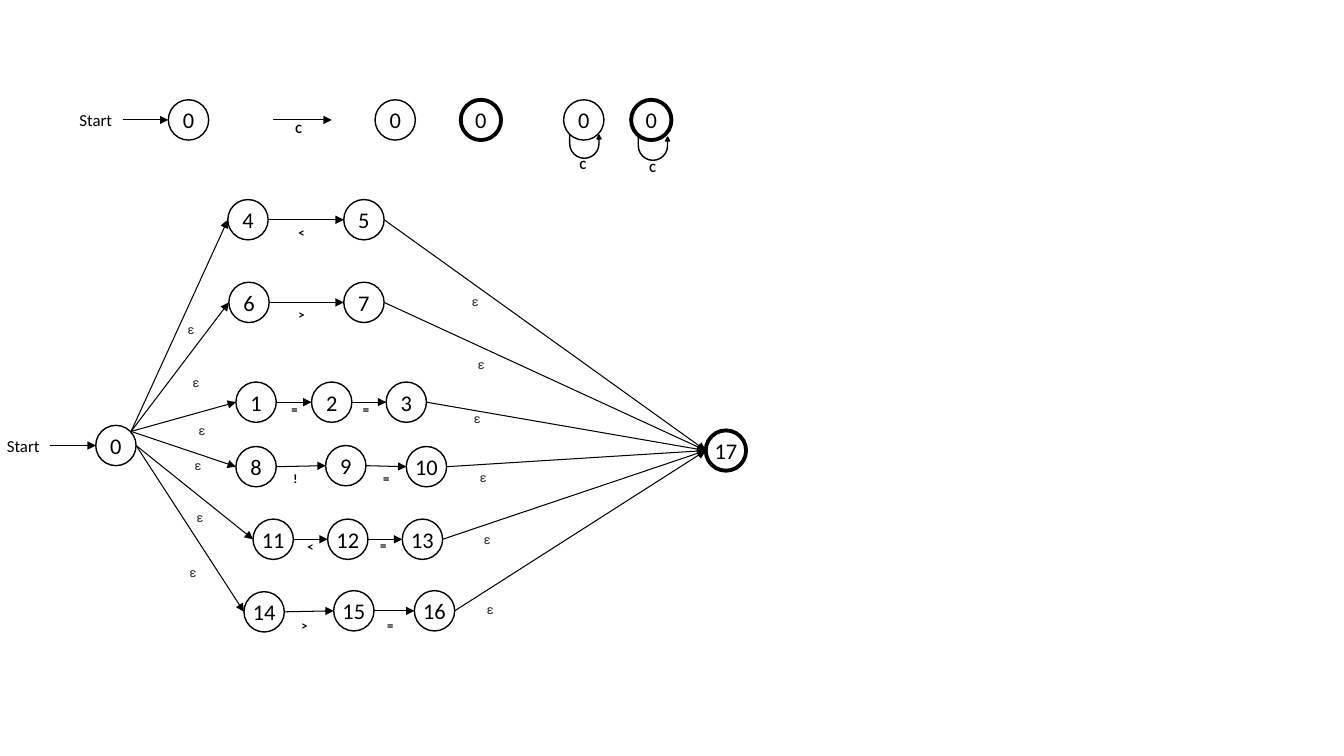
from dataclasses import dataclass

from lxml import etree
from pptx import Presentation
from pptx.dml.color import RGBColor
from pptx.enum import shapes, text
from pptx.oxml import ns
from pptx.util import Inches, Pt

BLACK = RGBColor(0x00, 0x00, 0x00)
EPSILON_GRAY = RGBColor(0x20, 0x21, 0x24)
DIAMETER = 0.4
RADIUS = DIAMETER / 2
LOOP_ADJUSTMENTS = (0, 0.085, 0.164, 0.717, 1)

Point = tuple[float, float]


@dataclass(frozen=True)
class State:
    name: str
    left: float
    top: float
    accepting: bool = False

    @property
    def entry(self) -> Point:
        return self.left, self.top + RADIUS

    @property
    def exit(self) -> Point:
        return self.left + DIAMETER, self.top + RADIUS


@dataclass(frozen=True)
class Symbol:
    character: str
    left: float
    top: float


@dataclass(frozen=True)
class Branch:
    """One operator: its states, the symbols between them, both epsilons."""
    origin: Point
    states: tuple[State, ...]
    symbols: tuple[Symbol, ...]
    epsilons: tuple[Point, Point]


START = State("0", 0.95, 4.22)
FINAL = State("17", 7, 4.27, accepting=True)
UPPER: Point = (1.3, 4.28)
LOWER: Point = START.exit

BRANCHES = (
    Branch(UPPER, (State("4", 2.26, 1.98), State("5", 3.41, 1.98)),
           (Symbol("<", 2.89, 2.18),), ((1.79, 3.14), (4.61, 2.87))),
    Branch(UPPER, (State("6", 2.27, 2.8), State("7", 3.41, 2.8)),
           (Symbol(">", 2.89, 3),), ((1.84, 3.67), (4.67, 3.49))),
    Branch(UPPER, (State("1", 2.34, 3.79), State("2", 3.09, 3.79), State("3", 3.83, 3.79)),
           (Symbol("=", 2.82, 3.94), Symbol("=", 3.53, 3.94)), ((1.9, 4.15), (4.63, 4.03))),
    Branch(UPPER, (State("8", 2.34, 4.43), State("9", 3.23, 4.42), State("10", 4.03, 4.43)),
           (Symbol("!", 2.84, 4.62), Symbol("=", 3.73, 4.62)), ((1.86, 4.49), (4.69, 4.61))),
    Branch(LOWER, (State("11", 2.51, 5.15), State("12", 3.25, 5.15), State("13", 3.99, 5.15)),
           (Symbol("<", 2.98, 5.3), Symbol("=", 3.7, 5.29)), ((1.88, 5.01), (4.73, 5.23))),
    Branch(LOWER, (State("14", 2.42, 5.87), State("15", 3.31, 5.86), State("16", 4.11, 5.86)),
           (Symbol(">", 2.92, 6.08), Symbol("=", 3.77, 6.08)), ((1.81, 5.55), (4.76, 5.92))),
)

# Legend of the notation
LEGEND_START = State("0", 1.67, 0.99)
LEGEND_STATES = (State("0", 3.72, 0.99), State("0", 4.57, 0.99, accepting=True))
LEGEND_LOOPS = (
    (State("0", 5.59, 0.99), (5.65, 1.34), Symbol("C", 5.68, 1.51)),
    (State("0", 6.26, 0.99, accepting=True), (6.33, 1.36), Symbol("C", 6.37, 1.54)),
)


def add_run(paragraph, content: str, size: float, font_name: str = "Calibri",
            color: RGBColor = BLACK, bold: bool = False) -> None:
    run = paragraph.add_run()
    run.text = content
    run.font.size = Pt(size)
    run.font.name = font_name
    run.font.color.rgb = color
    run.font.bold = bold


def add_label(slide, left: float, top: float, width: float, height: float, inset: float):
    """Add a text box and return its empty paragraph."""
    box = slide.shapes.add_textbox(Inches(left), Inches(top), Inches(width), Inches(height))
    frame = box.text_frame
    frame.word_wrap = True
    frame.auto_size = text.MSO_AUTO_SIZE.SHAPE_TO_FIT_TEXT
    frame.margin_left = Inches(inset)
    frame.margin_right = 0
    return frame.paragraphs[0]


def add_symbol(slide, symbol: Symbol) -> None:
    paragraph = add_label(slide, symbol.left, symbol.top, 0.16, 0.25, 0.07)
    add_run(paragraph, symbol.character, 9, bold=True)


def add_epsilon(slide, position: Point) -> None:
    paragraph = add_label(slide, *position, 0.16, 0.25, 0.07)
    add_run(paragraph, "ε", 9, "Roboto", EPSILON_GRAY)


def add_state(slide, state: State) -> None:
    shape = slide.shapes.add_shape(
        shapes.MSO_SHAPE.OVAL, Inches(state.left), Inches(state.top),
        Inches(DIAMETER), Inches(DIAMETER))
    shape.shadow.inherit = False
    shape.fill.background()
    shape.line.color.rgb = BLACK
    shape.line.width = Pt(2.75 if state.accepting else 1)
    frame = shape.text_frame
    frame.margin_left = frame.margin_right = frame.margin_top = frame.margin_bottom = 0
    frame.vertical_anchor = text.MSO_ANCHOR.MIDDLE
    paragraph = frame.paragraphs[0]
    paragraph.alignment = text.PP_ALIGN.CENTER
    add_run(paragraph, state.name, 16)


def add_arrow(slide, begin: Point, end: Point) -> None:
    connector = slide.shapes.add_connector(
        shapes.MSO_CONNECTOR.STRAIGHT, *map(Inches, begin + end))
    connector.line.color.rgb = BLACK
    connector.line.width = Pt(0.75)
    etree.SubElement(connector.line._get_or_add_ln(), ns.qn("a:tailEnd"), type="triangle")
    etree.SubElement(connector._element.spPr, ns.qn("a:effectLst"))


def add_loop(slide, left: float, top: float) -> None:
    loop = slide.shapes.add_shape(
        shapes.MSO_SHAPE.U_TURN_ARROW, Inches(left), Inches(top), Inches(0.31), Inches(0.23))
    loop.shadow.inherit = False
    loop.fill.solid()
    loop.fill.fore_color.rgb = BLACK
    loop.line.color.rgb = BLACK
    loop.line.width = Pt(1)
    for index, value in enumerate(LOOP_ADJUSTMENTS):
        loop.adjustments[index] = value
    loop.rotation = 180
    loop._element.spPr.find(ns.qn("a:xfrm")).set("flipH", "1")


def add_start(slide, state: State) -> None:
    """Add a state with the word and arrow that mark it as the start."""
    left, middle = state.entry
    add_run(add_label(slide, left - 0.98, middle - 0.15, 0.53, 0.3, 0.1), "Start", 12)
    add_arrow(slide, (left - 0.45, middle), state.entry)
    add_state(slide, state)


def add_legend(slide) -> None:
    add_start(slide, LEGEND_START)
    add_arrow(slide, (2.71, 1.19), (3.29, 1.19))
    add_symbol(slide, Symbol("C", 2.86, 1.15))
    for state in LEGEND_STATES:
        add_state(slide, state)
    for state, loop_position, symbol in LEGEND_LOOPS:
        add_state(slide, state)
        add_loop(slide, *loop_position)
        add_symbol(slide, symbol)


def add_branch(slide, branch: Branch) -> None:
    add_arrow(slide, branch.origin, branch.states[0].entry)
    for source, target in zip(branch.states, branch.states[1:]):
        add_arrow(slide, source.exit, target.entry)
    add_arrow(slide, branch.states[-1].exit, FINAL.entry)
    for state in branch.states:
        add_state(slide, state)
    for symbol in branch.symbols:
        add_symbol(slide, symbol)
    for position in branch.epsilons:
        add_epsilon(slide, position)


def main() -> None:
    presentation = Presentation()
    presentation.slide_width = Inches(13.33)
    presentation.slide_height = Inches(7.5)
    slide = presentation.slides.add_slide(presentation.slide_layouts[6])
    add_legend(slide)
    # Automaton
    add_start(slide, START)
    add_state(slide, FINAL)
    for branch in BRANCHES:
        add_branch(slide, branch)
    presentation.save("out.pptx")


if __name__ == "__main__":
    main()
